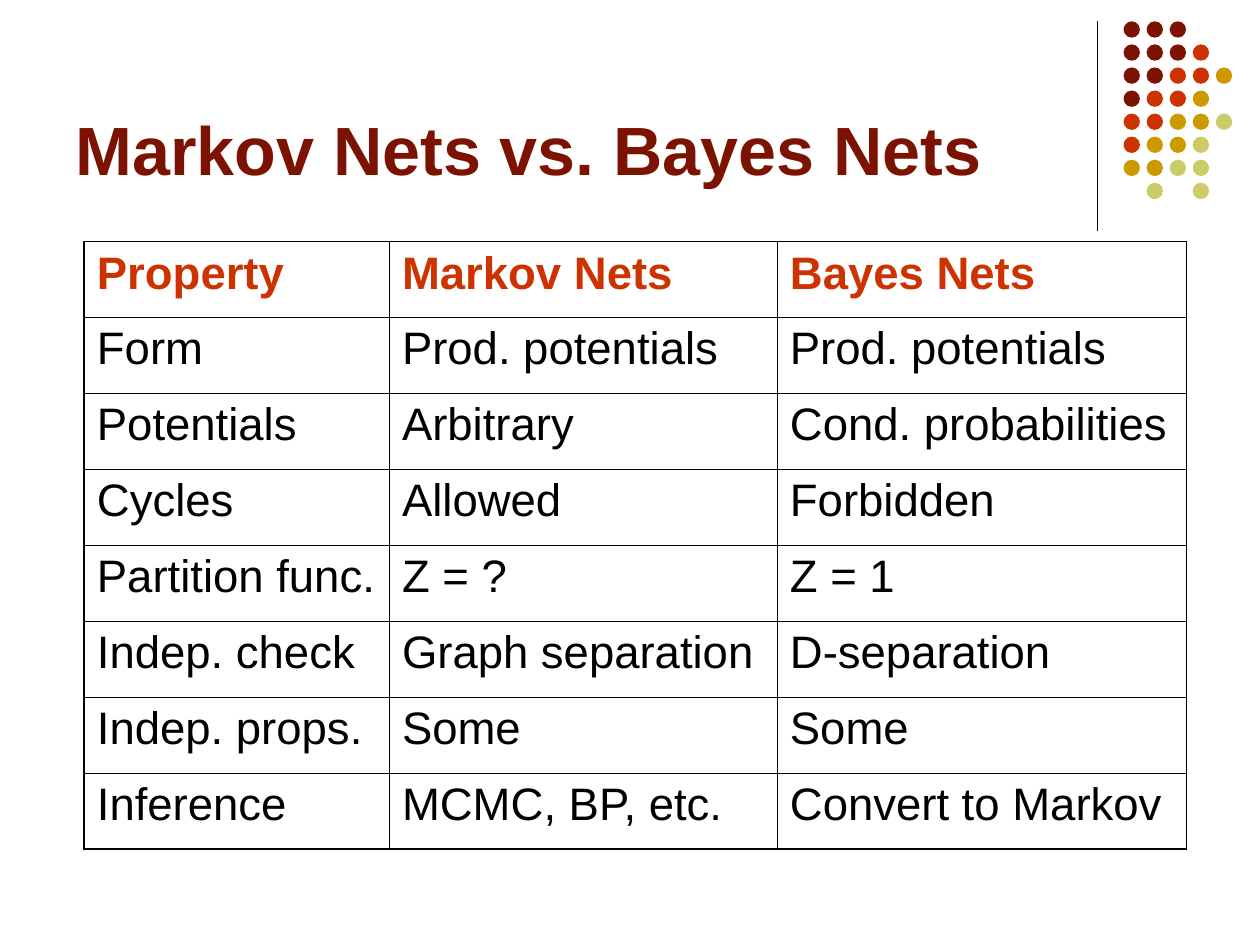
from lxml import etree
from pptx import Presentation
from pptx.dml.color import RGBColor
from pptx.enum import shapes, text
from pptx.oxml import ns
from pptx.util import Cm, Pt

COLORS = {"dark": "7C1302", "red": "CC3300", "gold": "CC9900",
          "lime": "CCCC66", "black": "000000"}
DOT_COLORS = {"D": "dark", "R": "red", "G": "gold", "L": "lime"}
DOT_ROWS = ["DDD", "DDDR", "DDRRG", "DRRG", "RRGGL", "RGGL", "GGLL", ".L.L"]
COLUMN_WIDTHS = [6.15, 7.82, 8.25]
ROW_HEIGHT = 1.53
THIN, THICK = 0.45, 1.08
ROWS = [
    ("Property", "Markov Nets", "Bayes Nets"),
    ("Form", "Prod. potentials", "Prod. potentials"),
    ("Potentials", "Arbitrary", "Cond. probabilities"),
    ("Cycles", "Allowed", "Forbidden"),
    ("Partition func.", "Z = ?", "Z = 1"),
    ("Indep. check", "Graph separation", "D-separation"),
    ("Indep. props.", "Some", "Some"),
    ("Inference", "MCMC, BP, etc.", "Convert to Markov"),
]


def rgb(name):
    return RGBColor.from_string(COLORS[name])


def write(frame, words, size, color="black", bold=False, before=0):
    """Put one formatted paragraph into a text frame."""
    para = frame.paragraphs[0]
    para.space_before = Pt(before)
    span = para.add_run()
    span.text = words
    span.font.name = "Arial"
    span.font.size = Pt(size)
    span.font.bold = bold
    span.font.color.rgb = rgb(color)


def add_title(page, words):
    box = page.shapes.add_textbox(Cm(1.27), Cm(0.33), Cm(20.96), Cm(3.61))
    frame = box.text_frame
    frame.word_wrap = True
    frame.vertical_anchor = text.MSO_ANCHOR.BOTTOM
    write(frame, words, 39, color="dark", bold=True)


def add_rule(page):
    rule = page.shapes.add_connector(
        shapes.MSO_CONNECTOR.STRAIGHT, Cm(22.12), Cm(0.43), Cm(22.12), Cm(4.65))
    rule.line.color.rgb = rgb("black")
    rule.line.width = Pt(0.75)
    etree.SubElement(rule._element.spPr, ns.qn("a:effectLst"))


def add_dots(page, left=22.65, top=0.43, pitch=0.465, size=0.33):
    group = page.shapes.add_group_shape()
    for row, letters in enumerate(DOT_ROWS):
        for column, letter in enumerate(letters):
            if letter not in DOT_COLORS:
                continue
            dot = group.shapes.add_shape(
                shapes.MSO_SHAPE.OVAL, Cm(left + column * pitch),
                Cm(top + row * pitch), Cm(size), Cm(size))
            dot.shadow.inherit = False
            dot.fill.solid()
            dot.fill.fore_color.rgb = rgb(DOT_COLORS[letter])
            dot.line.fill.background()


def set_borders(cell, widths):
    """Draw black cell borders; widths are points for left, right, top, bottom."""
    properties = cell._tc.get_or_add_tcPr()
    for index, (side, width) in enumerate(zip("LRTB", widths)):
        line = etree.Element(ns.qn(f"a:ln{side}"), w=str(int(Pt(width))))
        fill = etree.SubElement(line, ns.qn("a:solidFill"))
        etree.SubElement(fill, ns.qn("a:srgbClr"), val=COLORS["black"])
        properties.insert(index, line)


def add_comparison(page):
    last_row, last_column = len(ROWS) - 1, len(COLUMN_WIDTHS) - 1
    table = page.shapes.add_table(
        len(ROWS), len(COLUMN_WIDTHS), Cm(1.7), Cm(4.87),
        Cm(sum(COLUMN_WIDTHS)), Cm(ROW_HEIGHT * len(ROWS))).table
    table.horz_banding = False
    for column, width in zip(table.columns, COLUMN_WIDTHS):
        column.width = Cm(width)
    for r, words in enumerate(ROWS):
        table.rows[r].height = Cm(ROW_HEIGHT)
        heading = r == 0
        for c, label in enumerate(words):
            cell = table.cell(r, c)
            cell.fill.background()
            write(cell.text_frame, label, 26, before=6.5, bold=heading,
                  color="red" if heading else "black")
            outer = (c == 0, c == last_column, r == 0, r == last_row)
            set_borders(cell, [THICK if edge else THIN for edge in outer])


def main():
    deck = Presentation()
    deck.slide_width, deck.slide_height = Cm(25.4), Cm(19.05)
    page = deck.slides.add_slide(deck.slide_layouts[6])
    add_rule(page)
    add_dots(page)
    add_title(page, "Markov Nets vs. Bayes Nets")
    add_comparison(page)
    deck.save("out.pptx")


if __name__ == "__main__":
    main()
